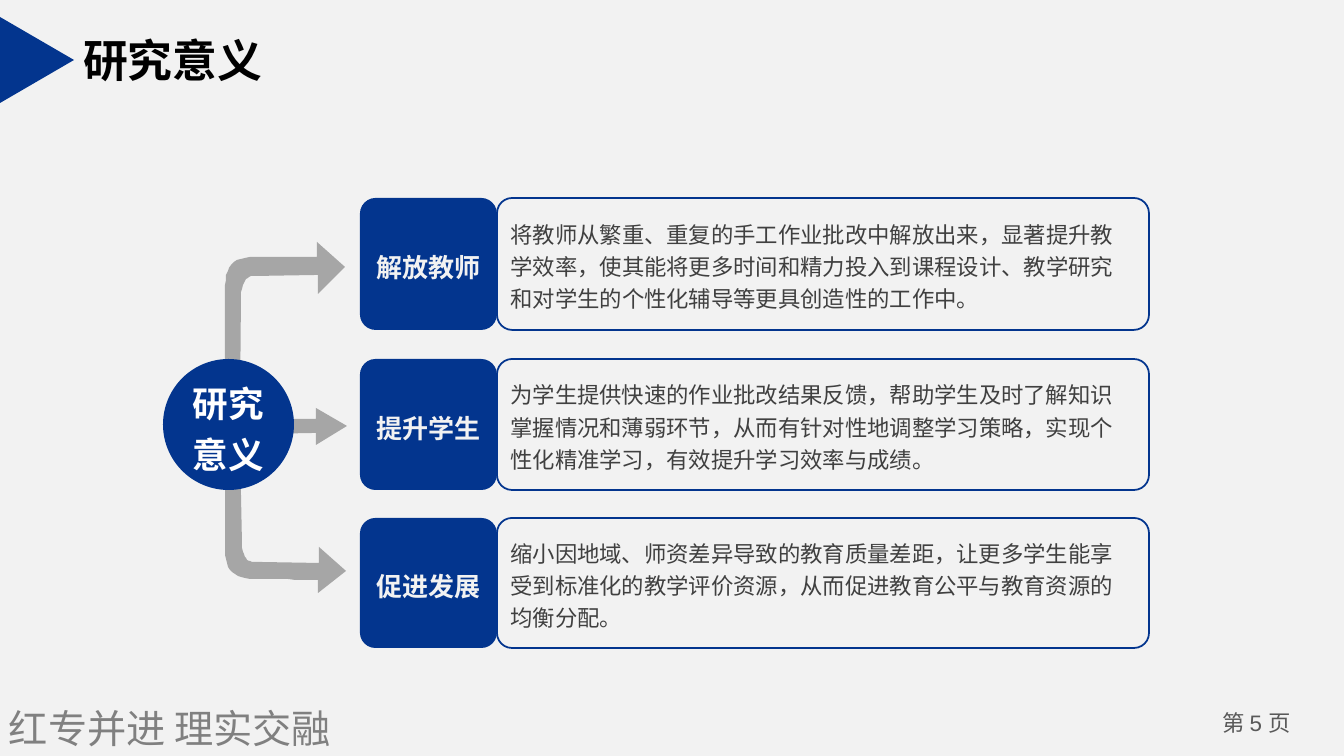
from lxml.etree import SubElement
from pptx import Presentation
from pptx.dml.color import RGBColor
from pptx.enum.shapes import MSO_SHAPE as Shape
from pptx.enum.text import MSO_ANCHOR as Anchor, PP_ALIGN as Align
from pptx.oxml.ns import qn
from pptx.util import Emu, Pt

PX = 914400 / 100.8
COLORS = {
    "background": "F2F2F2", "blue": "03358E", "arrow": "A6A6A6", "body": "404040",
    "label": "F2F2F2", "white": "FFFFFF", "black": "000000", "page": "595959", "motto": "808080",
}
COLORS = {name: RGBColor.from_string(value) for name, value in COLORS.items()}
CJK = "Noto Sans CJK SC"


def write(shape, runs, size, color, bold=False, align=Align.LEFT, spacing=1.0, insets=(9, 5), wrap=True):
    frame = shape.text_frame
    across, down = (Emu(round(inset * PX)) for inset in insets)
    frame_format = {
        "word_wrap": wrap, "margin_left": across, "margin_right": across,
        "margin_top": down, "margin_bottom": down,
    }
    for name, value in frame_format.items():
        setattr(frame, name, value)
    paragraph = frame.paragraphs[0]
    paragraph.alignment, paragraph.line_spacing = align, spacing
    for text, font_name in runs:
        run = paragraph.add_run()
        run.text = text
        for name, value in {"size": Pt(size), "bold": bold, "name": font_name}.items():
            setattr(run.font, name, value)
        run.font.color.rgb = COLORS[color]
        SubElement(run.font._element, qn("a:ea"), typeface=CJK)


def outline(start, *steps):
    points = [start]
    for step in steps:
        if len(step) == 2:
            points.append(step)
            continue
        controls = [points[-1], step[:2], step[2:4], step[4:]]
        for t in (n / 12 for n in range(1, 13)):
            weights = ((1 - t) ** 3, 3 * t * (1 - t) ** 2, 3 * t * t * (1 - t), t ** 3)
            points.append(tuple(sum(w * c[axis] for w, c in zip(weights, controls)) for axis in (0, 1)))
    return points


presentation = Presentation()
presentation.slide_width = Emu(round(1344 * PX))
presentation.slide_height = Emu(round(756 * PX))
slide = presentation.slides.add_slide(presentation.slide_layouts[6])
slide.background.fill.solid()
slide.background.fill.fore_color.rgb = COLORS["background"]
shapes = slide.shapes

texts = [
    ((1196, 704, 121, 40), [("第 ", CJK), ("5 ", "Arial"), ("页", CJK)],
     {"size": 16, "color": "page", "align": Align.CENTER}),
    ((0, 699, 397, 57), [("红专并进 理实交融", CJK)], {"size": 28, "color": "motto"}),
    ((70, 26, 208, 68), [("研究意义", "Arial")],
     {"size": 32, "color": "black", "bold": True, "insets": (13, 7), "wrap": False}),
]
for place, runs, text_format in texts:
    write(shapes.add_textbox(*(Emu(round(n * PX)) for n in place)), runs, **text_format)

arrows = [
    outline((240, 445), (242, 544), (243, 562, 249, 562, 259, 562), (319, 563), (319, 547),
            (346, 571), (318, 593), (318, 580), (318, 580, 277, 579, 255, 579),
            (233, 579, 226, 571, 225, 550), (225, 443), (228, 424, 237, 426, 240, 445)),
    outline((204, 435), (316, 433), (316, 445), (347, 426), (316, 408), (316, 419), (204, 419)),
    outline((240, 413), (241, 297), (242, 277, 248, 276, 258, 276), (318, 275), (318, 294),
            (345, 267), (317, 242), (317, 257), (317, 257, 277, 257, 255, 257),
            (232, 257, 225, 267, 225, 290), (225, 415), (227, 435, 237, 433, 240, 413)),
]
for points in arrows:
    builder = shapes.build_freeform(*points[0], scale=PX)
    builder.add_line_segments(points[1:], close=True)
    arrow = builder.convert_to_shape()
    arrow.shadow.inherit = False
    arrow.fill.solid()
    arrow.fill.fore_color.rgb = COLORS["arrow"]
    arrow.line.fill.background()

rows = [
    (198, 132, "解放教师", "将教师从繁重、重复的手工作业批改中解放出来，显著提升教学效率，使其能将更多时间和精力投入到课程设计、教学研究和对学生的个性化辅导等更具创造性的工作中。"),
    (359, 131, "提升学生", "为学生提供快速的作业批改结果反馈，帮助学生及时了解知识掌握情况和薄弱环节，从而有针对性地调整学习策略，实现个性化精准学习，有效提升学习效率与成绩。"),
    (518, 130, "促进发展", "缩小因地域、师资差异导致的教育质量差距，让更多学生能享受到标准化的教学评价资源，从而促进教育公平与教育资源的均衡分配。"),
]
body_format = {"size": 16, "color": "body", "spacing": 1.2}
label_format = {"size": 18.6, "color": "label", "bold": True, "align": Align.CENTER, "spacing": 1.2}
circle_format = {**label_format, "size": 25.4, "color": "white"}
blocks = [(Shape.ISOSCELES_TRIANGLE, (-6, 23, 86, 74), 0.5, True, None, None)]
for top, height, label, body in rows:
    blocks += [
        (Shape.ROUNDED_RECTANGLE, (497, top, 652, height), 0.115, False, (body, CJK), body_format),
        (Shape.ROUNDED_RECTANGLE, (360, top, 137, height), 0.119, True, (label, CJK), label_format),
    ]
blocks.append((Shape.OVAL, (163, 359, 131, 131), None, True, ("研究意义", "Arial"), circle_format))

for kind, place, adjustment, filled, run, text_format in blocks:
    block = shapes.add_shape(kind, *(Emu(round(n * PX)) for n in place))
    block.shadow.inherit = False
    if adjustment is not None:
        block.adjustments[0] = adjustment
    if filled:
        block.fill.solid()
        block.fill.fore_color.rgb = COLORS["blue"]
        block.line.fill.background()
    else:
        block.fill.background()
        block.line.color.rgb = COLORS["blue"]
        block.line.width = Pt(1.25)
    if run:
        block.text_frame.vertical_anchor = Anchor.MIDDLE
        write(block, [run], **text_format)
    else:
        block.rotation = 90

presentation.save("out.pptx")
